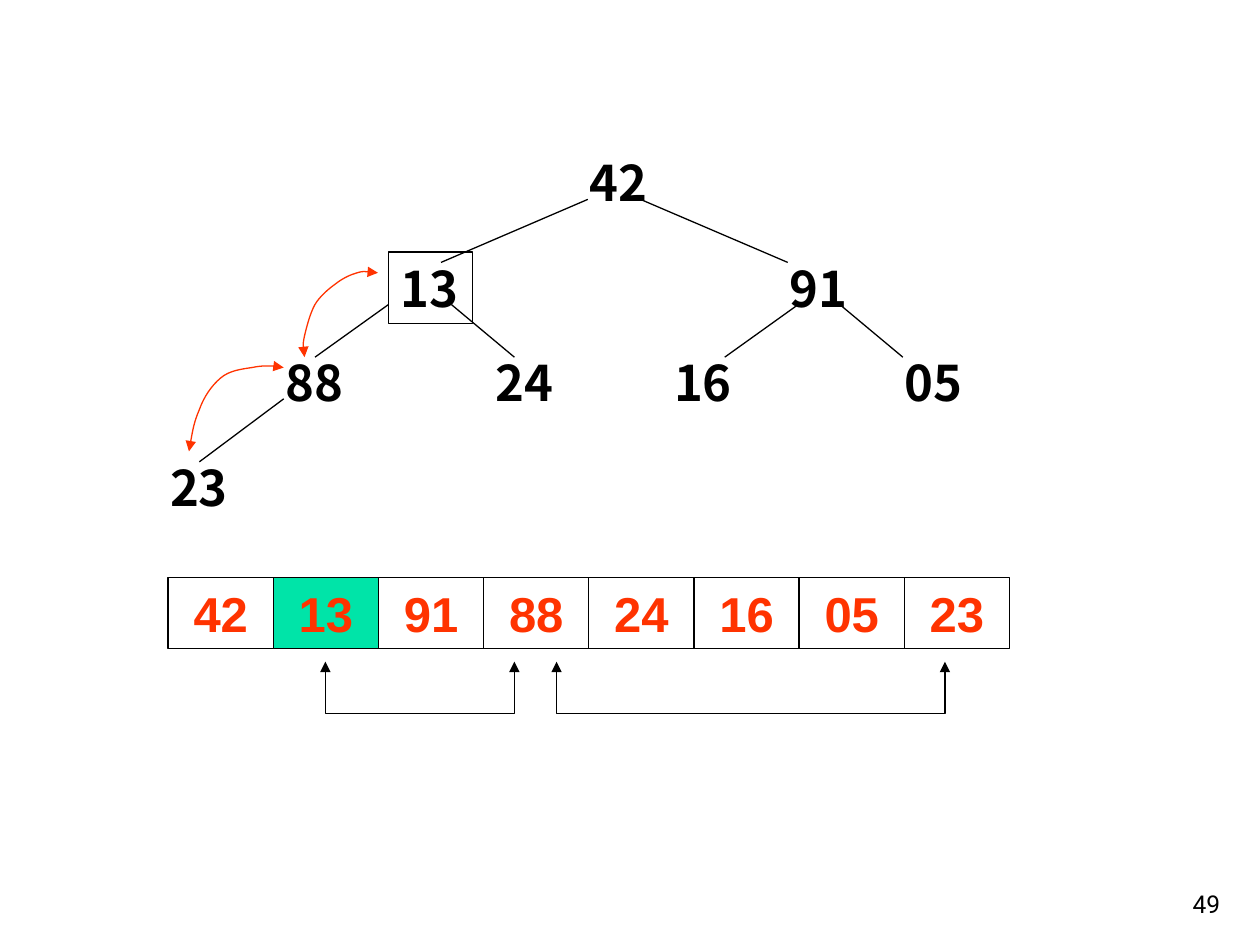
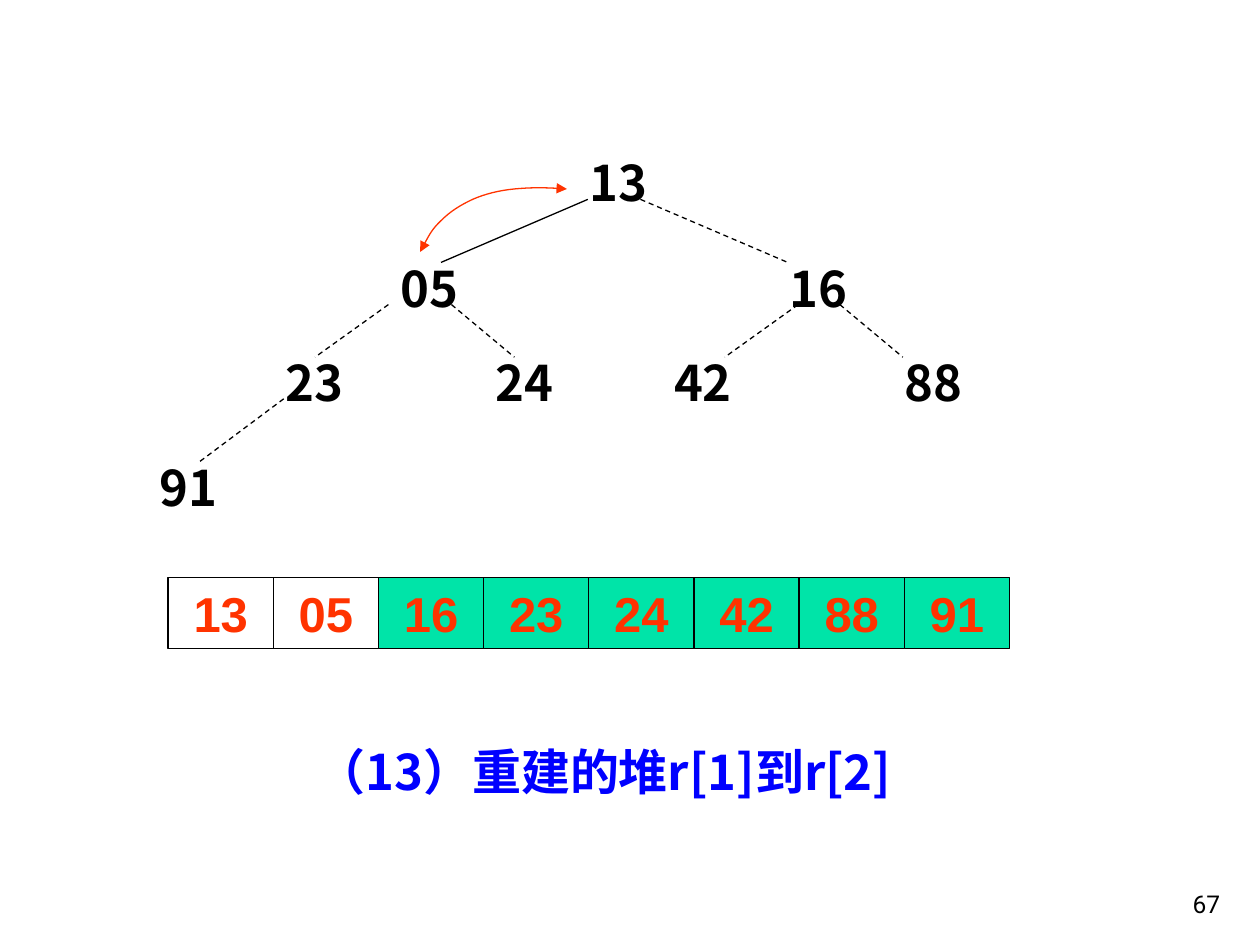
import pptx
import pptx.dml.color
import pptx.enum.dml
import pptx.enum.shapes
import pptx.enum.text
import pptx.oxml
import pptx.oxml.ns
import pptx.util
from dataclasses import dataclass

Cm = pptx.util.Cm
ALIGN = pptx.enum.text.PP_ALIGN
ANCHOR = pptx.enum.text.MSO_ANCHOR
qn = pptx.oxml.ns.qn


@dataclass(frozen=True)
class Theme:
    ink: str = "000000"
    accent: str = "FF3300"
    caption: str = "0000FF"
    highlight: str = "00E4A8"
    tree_font: str = "Noto Sans CJK SC"
    cell_font: str = "Arial"
    number_font: str = "Roboto"
    value_size: int = 28
    number_size: int = 14
    line_width: float = 0.75


THEME = Theme()

# Heap layout in centimetres: node corners in level order, and their edges
NODE_SIZE = (1.7, 1.44)
NODE_CORNERS = [(11.64, 2.96), (7.83, 5.08), (15.66, 5.08), (5.5, 6.99),
                (9.74, 6.99), (13.34, 6.99), (17.99, 6.99)]
EDGES = [((11.85, 4.02), (8.89, 5.29)), ((12.91, 4.02), (15.88, 5.29)),
         ((7.83, 6.14), (6.35, 7.2)), ((9.1, 6.14), (10.37, 7.2)),
         ((16.09, 6.14), (14.61, 7.2)), ((16.93, 6.14), (18.2, 7.2)),
         ((5.72, 8.04), (4.02, 9.31))]

# Array row
ARRAY_LEFT, ARRAY_TOP = 3.39, 11.64
CELL_WIDTH, CELL_HEIGHT = 2.12, 1.44
BRACKET_TOP, BRACKET_BOTTOM = 13.34, 14.39

# Swap arrows: a start point, then two control points and an end per curve
SWAP_23_88 = [(3.81, 9.1),
              (3.86, 8.81), (3.91, 8.51), (4.02, 8.26),
              (4.11, 8.0), (4.27, 7.77), (4.45, 7.62),
              (4.62, 7.47), (4.88, 7.44), (5.08, 7.41),
              (5.28, 7.37), (5.61, 7.37), (5.72, 7.41)]
SWAP_88_13 = [(6.14, 7.2),
              (6.12, 7.06), (6.1, 6.96), (6.14, 6.77),
              (6.18, 6.6), (6.25, 6.32), (6.35, 6.14),
              (6.45, 5.97), (6.63, 5.82), (6.77, 5.72),
              (6.91, 5.61), (7.06, 5.54), (7.2, 5.5),
              (7.34, 5.46), (7.47, 5.49), (7.62, 5.5)]
SWAP_05_13 = [(8.47, 5.08),
              (8.59, 4.85), (8.71, 4.62), (8.89, 4.45),
              (9.07, 4.27), (9.27, 4.14), (9.53, 4.02),
              (9.78, 3.91), (10.06, 3.84), (10.37, 3.81),
              (10.69, 3.78), (11.05, 3.78), (11.43, 3.81)]


def rgb(color):
    return pptx.dml.color.RGBColor.from_string(color)


def style_line(line, color=THEME.ink):
    line.color.rgb = rgb(color)
    line.width = pptx.util.Pt(THEME.line_width)


def write(box, text, font, color=THEME.ink, size=THEME.value_size,
          bold=True, align=ALIGN.LEFT, anchor=ANCHOR.TOP):
    frame = box.text_frame
    frame.word_wrap = True
    frame.vertical_anchor = anchor
    para = frame.paragraphs[0]
    para.text = text
    para.alignment = align
    para.font.name = font
    para.font.size = pptx.util.Pt(size)
    para.font.bold = bold
    para.font.color.rgb = rgb(color)
    # East Asian glyphs use the same typeface
    defaults = para._p.find(".//" + qn("a:defRPr"))
    pptx.oxml.ns.qn("a:ea")
    east_asian = defaults.makeelement(qn("a:ea"), {"typeface": font})
    defaults.find(qn("a:latin")).addnext(east_asian)


def add_text(page, left, top, width, height, text, font, **style):
    box = page.shapes.add_textbox(Cm(left), Cm(top), Cm(width), Cm(height))
    write(box, text, font, **style)
    return box


def add_edge(page, start, end, dashed):
    edge = page.shapes.add_connector(
        pptx.enum.shapes.MSO_CONNECTOR.STRAIGHT,
        *(Cm(value) for value in start + end))
    style_line(edge.line)
    if dashed:
        edge.line.dash_style = pptx.enum.dml.MSO_LINE.DASH
    properties = edge._element.spPr
    properties.append(properties.makeelement(qn("a:effectLst"), {}))


def add_tree(page, values, last_left, solid_edges, boxed=None):
    corners = NODE_CORNERS + [(last_left, 9.1)]
    for index, (value, corner) in enumerate(zip(values, corners)):
        node = add_text(page, *corner, *NODE_SIZE, value, THEME.tree_font)
        if index == boxed:
            style_line(node.line)
    for index, (start, end) in enumerate(EDGES):
        add_edge(page, start, end, dashed=index not in solid_edges)


def add_array(page, values, highlighted):
    for index, value in enumerate(values):
        cell = page.shapes.add_shape(
            pptx.enum.shapes.MSO_SHAPE.RECTANGLE,
            Cm(ARRAY_LEFT + index * CELL_WIDTH), Cm(ARRAY_TOP),
            Cm(CELL_WIDTH), Cm(CELL_HEIGHT))
        cell.shadow.inherit = False
        if index in highlighted:
            cell.fill.solid()
            cell.fill.fore_color.rgb = rgb(THEME.highlight)
        else:
            cell.fill.background()
        style_line(cell.line)
        write(cell, value, THEME.cell_font, color=THEME.accent,
              align=ALIGN.CENTER)


def add_double_arrow(page, points, color):
    start, *rest = [(Cm(x), Cm(y)) for x, y in points]
    builder = page.shapes.build_freeform(*start)
    builder.add_line_segments(rest, close=False)
    arrow = builder.convert_to_shape()
    arrow.shadow.inherit = False
    arrow.fill.background()
    style_line(arrow.line, color)
    outline = arrow.line._get_or_add_ln()
    for tag in ("a:headEnd", "a:tailEnd"):
        outline.append(outline.makeelement(qn(tag), {"type": "triangle"}))
    return arrow


def add_bracket(page, left, right):
    corners = [(left, BRACKET_TOP), (left, BRACKET_BOTTOM),
               (right, BRACKET_BOTTOM), (right, BRACKET_TOP)]
    add_double_arrow(page, corners, THEME.ink)


def add_swap(page, points):
    arrow = add_double_arrow(page, points, THEME.accent)
    # Every three straight segments become one cubic curve
    segments = list(arrow._element.iter(qn("a:lnTo")))
    for first in range(0, len(segments), 3):
        group = segments[first:first + 3]
        curve = group[0].makeelement(qn("a:cubicBezTo"), {})
        group[0].addprevious(curve)
        for segment in group:
            curve.append(segment[0])
            segment.getparent().remove(segment)


def add_page(deck, number):
    page = deck.slides.add_slide(deck.slide_layouts.get_by_name("Blank"))
    add_text(page, 19.56, 17.36, 5.29, 1.27, number, THEME.number_font,
             size=THEME.number_size, bold=False, align=ALIGN.RIGHT,
             anchor=ANCHOR.BOTTOM)
    return page


def main():
    deck = pptx.Presentation()
    deck.slide_width, deck.slide_height = Cm(25.4), Cm(19.05)

    # Sifting 13 down while the heap is built
    values = ["42", "13", "91", "88", "24", "16", "05", "23"]
    page = add_page(deck, "49")
    add_tree(page, values, 3.18, solid_edges=range(len(EDGES)), boxed=1)
    add_array(page, values, highlighted={1})
    add_bracket(page, 6.56, 10.37)
    add_bracket(page, 11.22, 19.05)
    add_swap(page, SWAP_23_88)
    add_swap(page, SWAP_88_13)

    # Rebuilt heap of two elements, the rest already sorted
    values = ["13", "05", "16", "23", "24", "42", "88", "91"]
    page = add_page(deck, "67")
    add_text(page, 4.87, 14.82, 14.61, 1.44, "（13）重建的堆r[1]到r[2]",
             THEME.tree_font, color=THEME.caption, align=ALIGN.CENTER)
    add_tree(page, values, 2.96, solid_edges={0})
    add_array(page, values, highlighted=range(2, len(values)))
    add_swap(page, SWAP_05_13)

    deck.save("out.pptx")


if __name__ == "__main__":
    main()
